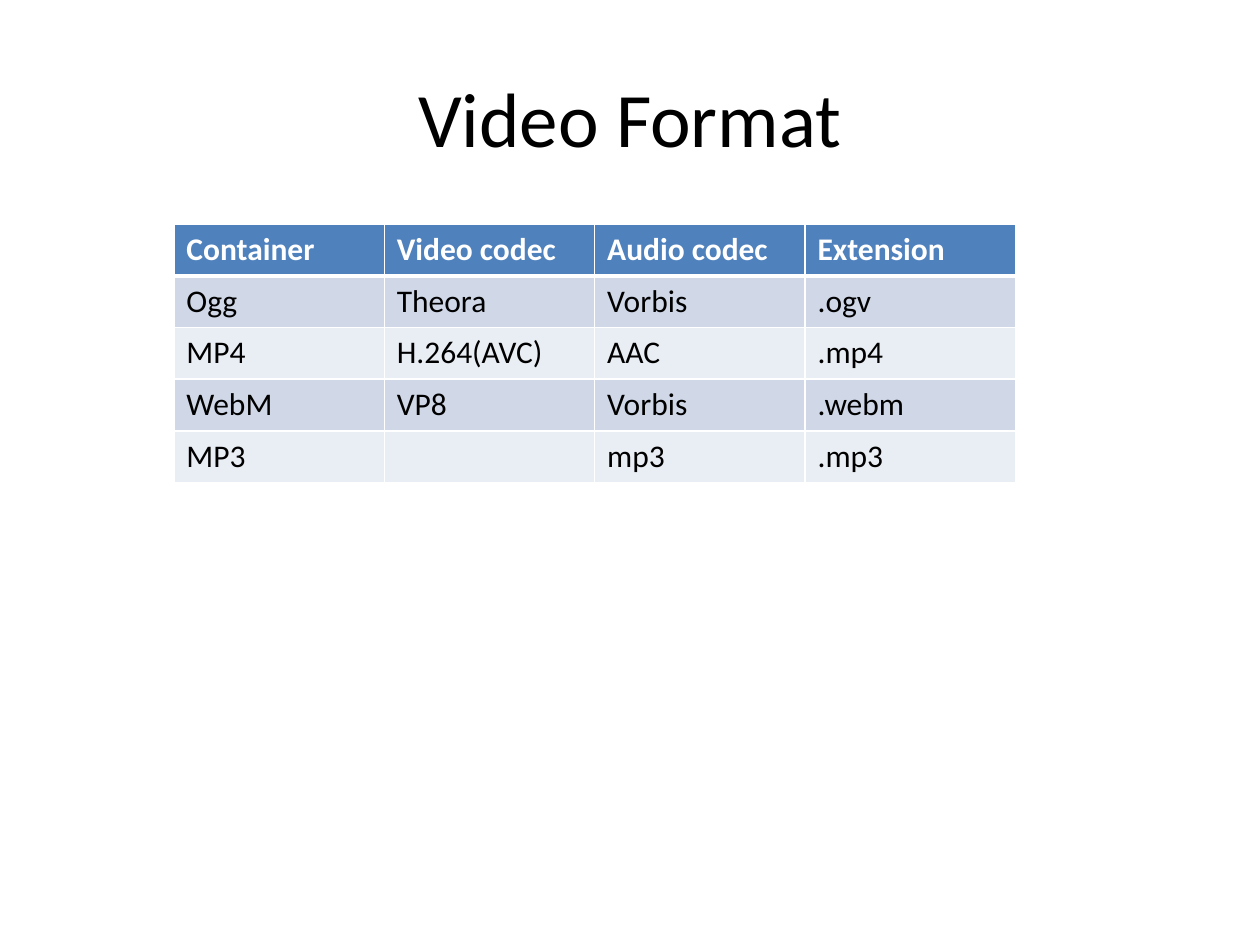
from lxml import etree
from pptx import Presentation
from pptx.dml.color import RGBColor
from pptx.enum.text import MSO_ANCHOR, PP_ALIGN
from pptx.oxml.ns import qn
from pptx.util import Inches, Pt

CENTER = PP_ALIGN.CENTER
MIDDLE = MSO_ANCHOR.MIDDLE
TITLE_ONLY = 5
FONT = "Calibri"
COLORS = {
    "text": "000000",
    "header_text": "FFFFFF",
    "border": "FFFFFF",
    "header": "4F81BD",
    "odd": "D0D8E8",
    "even": "E9EDF4",
}
FORMATS = [
    ("Container", "Video codec", "Audio codec", "Extension"),
    ("Ogg", "Theora", "Vorbis", ".ogv"),
    ("MP4", "H.264(AVC)", "AAC", ".mp4"),
    ("WebM", "VP8", "Vorbis", ".webm"),
    ("MP3", "", "mp3", ".mp3"),
]
COLUMN_WIDTH = Inches(1.67)
ROW_HEIGHT = Inches(0.41)


def add_run(paragraph, text, size, color, bold=False):
    """Add one formatted run to a paragraph."""
    run = paragraph.add_run()
    run.text = text
    run.font.name = FONT
    run.font.size = Pt(size)
    run.font.bold = bold
    run.font.color.rgb = RGBColor.from_string(COLORS[color])


def set_borders(cell, top, bottom):
    """Draw the four cell borders, with top and bottom widths in points."""
    properties = cell._tc.get_or_add_tcPr()
    for side, width in (("L", 1), ("R", 1), ("T", top), ("B", bottom)):
        line = etree.SubElement(properties, qn(f"a:ln{side}"), w=str(Pt(width)))
        fill = etree.SubElement(line, qn("a:solidFill"))
        etree.SubElement(fill, qn("a:srgbClr"), val=COLORS["border"])


def add_title(slide, text):
    """Place and fill the slide title."""
    title = slide.shapes.title
    title.left, title.top = Inches(0.5), Inches(0.3)
    title.width, title.height = Inches(9), Inches(1.25)
    title.text_frame.vertical_anchor = MIDDLE
    paragraph = title.text_frame.paragraphs[0]
    paragraph.alignment = CENTER
    add_run(paragraph, text, 44, "text")


def fill_cell(cell, text, row):
    """Style a table cell by its row and write its text."""
    is_header = row == 0
    set_borders(cell, top=3 if row == 1 else 1, bottom=3 if is_header else 1)
    band = "header" if is_header else "odd" if row % 2 else "even"
    cell.fill.solid()
    cell.fill.fore_color.rgb = RGBColor.from_string(COLORS[band])
    paragraph = cell.text_frame.paragraphs[0]
    if text:
        add_run(paragraph, text, 18, "header_text" if is_header else "text", is_header)
    else:
        paragraph.font.size = Pt(18)


def add_format_table(slide, rows):
    """Add the table of containers and codecs."""
    columns = len(rows[0])
    table = slide.shapes.add_table(
        len(rows), columns, Inches(1.38), Inches(1.78),
        columns * COLUMN_WIDTH, len(rows) * ROW_HEIGHT,
    ).table
    for row, texts in enumerate(rows):
        for column, text in enumerate(texts):
            fill_cell(table.cell(row, column), text, row)


def main():
    """Build and save the video format slide."""
    presentation = Presentation()
    presentation.slide_width = Inches(10)
    presentation.slide_height = Inches(7.5)
    slide = presentation.slides.add_slide(presentation.slide_layouts[TITLE_ONLY])
    add_title(slide, "Video Format")
    add_format_table(slide, FORMATS)
    presentation.save("out.pptx")


if __name__ == "__main__":
    main()
